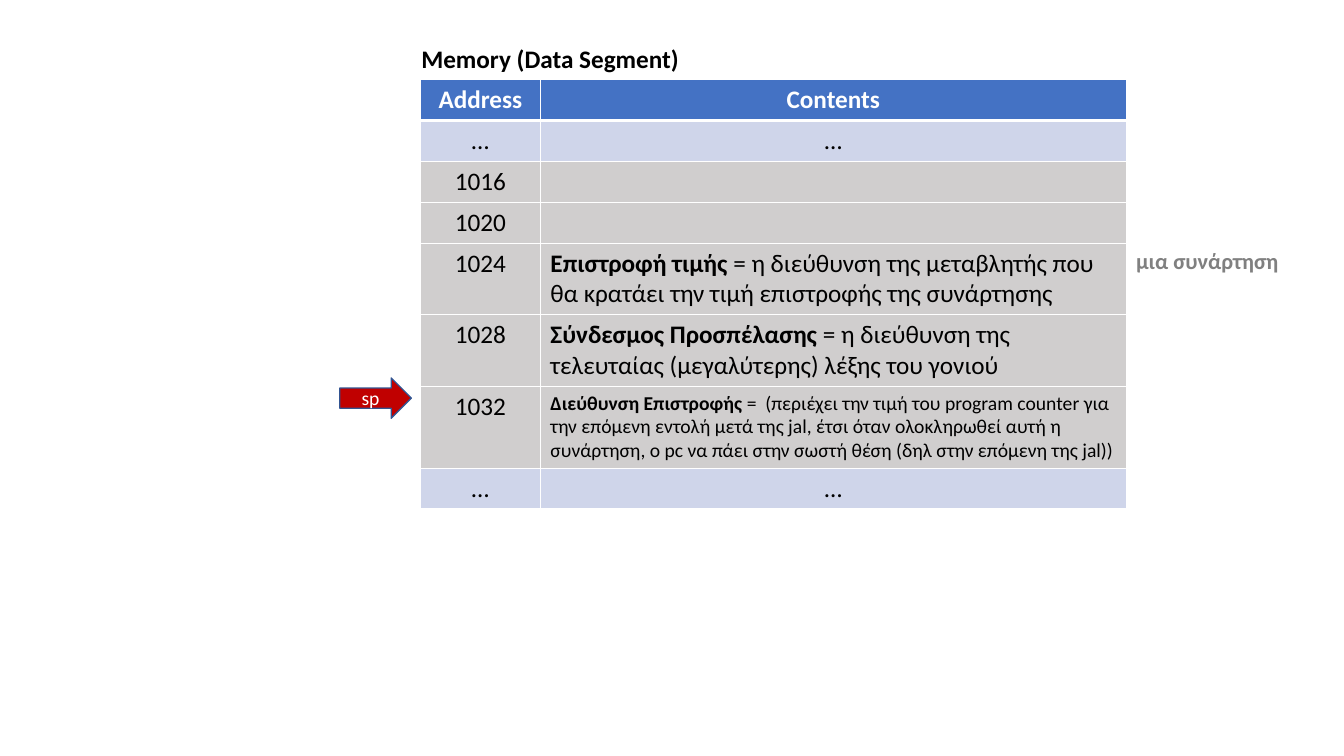
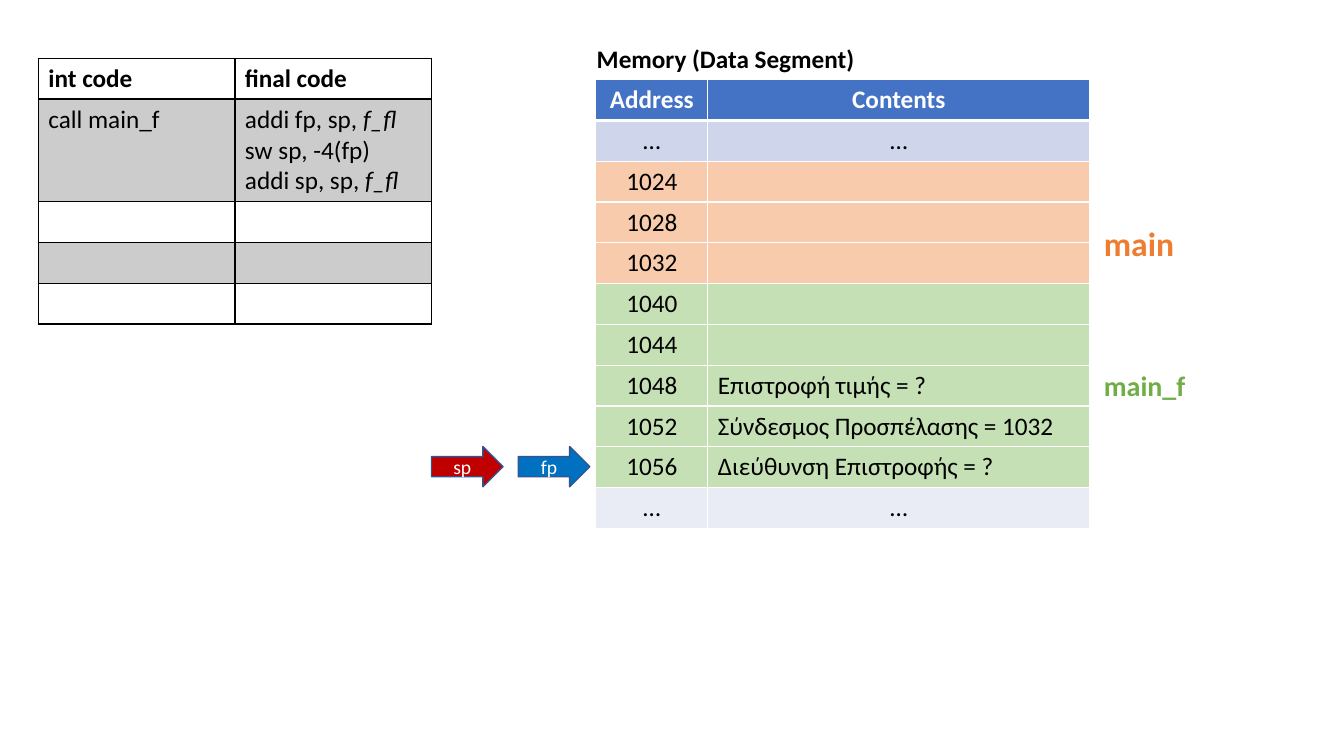
from lxml import etree
from pptx import Presentation
from pptx import util as u
from pptx.dml.color import RGBColor
from pptx.enum import shapes, text
from pptx.oxml.ns import qn

COLORS = {
    "white": "FFFFFF", "black": "000000", "header": "4472C4",
    "band": "CFD5EA", "light band": "E9EBF5", "gray": "D0CECE",
    "peach": "F8CBAD", "mint": "C5E0B4", "orange": "ED7D31",
    "green": "70AD47", "muted": "808080", "red": "C00000",
    "blue": "0070C0", "outline": "325491",
}
FONT = "Calibri"
BODY_SIZE = 18
SMALL_SIZE = 14
CENTER = text.PP_ALIGN.CENTER
LEFT = text.PP_ALIGN.LEFT
HEADING = "Memory (Data Segment)"
DOTS = ("…", "…")


def rgb(name):
    return RGBColor.from_string(COLORS[name])


def row_height(lines=1, size=BODY_SIZE):
    """Height of the lines plus the top and bottom cell margins."""
    return u.Pt(lines * size * 1.22 + 7.2)


class Deck:
    def __init__(self):
        self.deck = Presentation()
        self.deck.slide_width = u.Inches(13.33)
        self.deck.slide_height = u.Inches(7.5)
        self.page = None

    def add_page(self):
        self.page = self.deck.slides.add_slide(self.deck.slide_layouts[6])

    def set_text(self, frame, paragraphs, size=BODY_SIZE, color="black",
                 bold=False, align=LEFT):
        """Each paragraph is a string or a list of (text, style) spans."""
        for index, spans in enumerate(paragraphs):
            para = frame.add_paragraph() if index else frame.paragraphs[0]
            para.alignment = align
            para.font.name = FONT
            para.font.size = u.Pt(size)
            para.font.bold = bold
            para.font.color.rgb = rgb(color)
            if isinstance(spans, str):
                spans = [(spans, "")]
            for words, style in spans:
                span = para.add_run()
                span.text = words
                if style == "bold":
                    span.font.bold = True
                elif style == "italic":
                    span.font.italic = True

    def label(self, left, top, width, height, words, size=BODY_SIZE, color="black"):
        box = self.page.shapes.add_textbox(
            u.Inches(left), u.Inches(top), u.Inches(width), u.Inches(height))
        box.text_frame.word_wrap = True
        box.text_frame.auto_size = text.MSO_AUTO_SIZE.SHAPE_TO_FIT_TEXT
        self.set_text(box.text_frame, [words], size, color, bold=True)

    def pointer(self, left, top, name, color):
        arrow = self.page.shapes.add_shape(
            shapes.MSO_SHAPE.RIGHT_ARROW,
            u.Inches(left), u.Inches(top), u.Inches(0.71), u.Inches(0.4))
        arrow.shadow.inherit = False
        arrow.fill.solid()
        arrow.fill.fore_color.rgb = rgb(color)
        arrow.line.color.rgb = rgb("outline")
        arrow.line.width = u.Pt(1)
        arrow.text_frame.vertical_anchor = text.MSO_ANCHOR.MIDDLE
        self.set_text(arrow.text_frame, [name], SMALL_SIZE, "white", align=CENTER)

    def table(self, left, top, widths, heights):
        frame = self.page.shapes.add_table(
            len(heights), len(widths), u.Inches(left), u.Inches(top),
            u.Inches(sum(widths)), sum(heights))
        grid = frame.table
        grid.horz_banding = False
        for column, width in zip(grid.columns, widths):
            column.width = u.Inches(width)
        for row, height in zip(grid.rows, heights):
            row.height = height
        return grid

    def paint(self, cell, color, border, top=1, bottom=1, alpha=None):
        """Borders must precede the fill inside the cell properties."""
        props = cell._tc.get_or_add_tcPr()
        for side, width in (("L", 1), ("R", 1), ("T", top), ("B", bottom)):
            line = etree.SubElement(props, qn(f"a:ln{side}"), w=str(u.Pt(width)))
            solid = etree.SubElement(line, qn("a:solidFill"))
            etree.SubElement(solid, qn("a:srgbClr"), val=COLORS[border])
        if color is None:
            cell.fill.background()
            return
        cell.fill.solid()
        cell.fill.fore_color.rgb = rgb(color)
        if alpha:
            tint = props.find(qn("a:solidFill")).find(qn("a:srgbClr"))
            etree.SubElement(tint, qn("a:alpha"), val=str(alpha * 1000))

    def memory(self, left, widths, rows):
        """Rows are (address, contents, color[, lines, text size])."""
        rows = [("Address", "Contents", "header"), *rows]
        grid = self.table(left, 0.79, widths, [row_height(*row[3:]) for row in rows])
        for r, (address, contents, color, *fit) in enumerate(rows):
            header = r == 0
            size = fit[1] if len(fit) > 1 else BODY_SIZE
            centered = header or address == DOTS[0]
            for c, words in enumerate((address, contents)):
                cell = grid.cell(r, c)
                self.paint(cell, color, "white", top=3 if r == 1 else 1,
                           bottom=3 if header else 1)
                if words:
                    self.set_text(cell.text_frame, [words], size if c else BODY_SIZE,
                                  "white" if header else "black", header,
                                  CENTER if c == 0 or centered else LEFT)
        self.label(left - 0.09, 0.38, 4.19, 0.4, HEADING)

    def code(self, left, top, widths, rows):
        """Rows hold one list of paragraphs per cell."""
        heights = [row_height(max(1, *map(len, row))) for row in rows]
        grid = self.table(left, top, widths, heights)
        grid.first_row = False
        for r, row in enumerate(rows):
            for c, paragraphs in enumerate(row):
                cell = grid.cell(r, c)
                self.paint(cell, "black" if r % 2 else None, "black",
                           top=2 if r == 1 else 1, bottom=2 if r == 0 else 1, alpha=20)
                self.set_text(cell.text_frame, paragraphs, bold=r == 0)


show = Deck()

# Slide 1: record of one function
show.add_page()
show.memory(4.17, [1.19, 5.81], [
    (*DOTS, "band"),
    ("1016", "", "gray"),
    ("1020", "", "gray"),
    ("1024", [("Επιστροφή τιμής ", "bold"),
              ("= η διεύθυνση της μεταβλητής που θα κρατάει την τιμή "
               "επιστροφής της συνάρτησης ", "")], "gray", 2),
    ("1028", [("Σύνδεσμος Προσπέλασης ", "bold"),
              ("= η διεύθυνση της τελευταίας (μεγαλύτερης) λέξης του γονιού", "")],
     "gray", 2),
    ("1032", [("Διεύθυνση Επιστροφής ", "bold"),
              ("=  (περιέχει την τιμή του program counter για την επόμενη εντολή "
               "μετά της jal, έτσι όταν ολοκληρωθεί αυτή η συνάρτηση, ο pc να πάει "
               "στην σωστή θέση (δηλ στην επόμενη της jal))", "")],
     "gray", 3, SMALL_SIZE),
    (*DOTS, "band"),
])
show.pointer(3.37, 3.75, "sp", "red")
show.label(11.17, 2.4, 1.74, 0.37, "μια συνάρτηση", 16, "muted")

# Slide 2: call from main to main_f
show.add_page()
show.memory(5.91, [1.11, 3.79], [
    (*DOTS, "band"),
    *((address, "", "peach") for address in ("1024", "1028", "1032")),
    ("1040", "", "mint"),
    ("1044", "", "mint"),
    ("1048", "Επιστροφή τιμής = ?", "mint"),
    ("1052", "Σύνδεσμος Προσπέλασης = 1032", "mint"),
    ("1056", "Διεύθυνση Επιστροφής = ?", "mint"),
    (*DOTS, "light band"),
])
show.pointer(4.28, 4.43, "sp", "red")
show.pointer(5.14, 4.43, "fp", "blue")
show.label(10.85, 2.16, 1.32, 0.5, "main", 24, "orange")
show.label(10.85, 3.61, 1.32, 0.44, "main_f", 20, "green")
show.code(0.38, 0.58, [1.95, 1.95], [
    (["int code"], ["final code"]),
    (["call main_f"], [
        [("addi fp, sp, ", ""), ("f_fl", "italic")],
        "sw sp, -4(fp)",
        [("addi sp, sp, ", ""), ("f_fl", "italic")],
    ]),
    *[([], [])] * 3,
])

show.deck.save("out.pptx")
